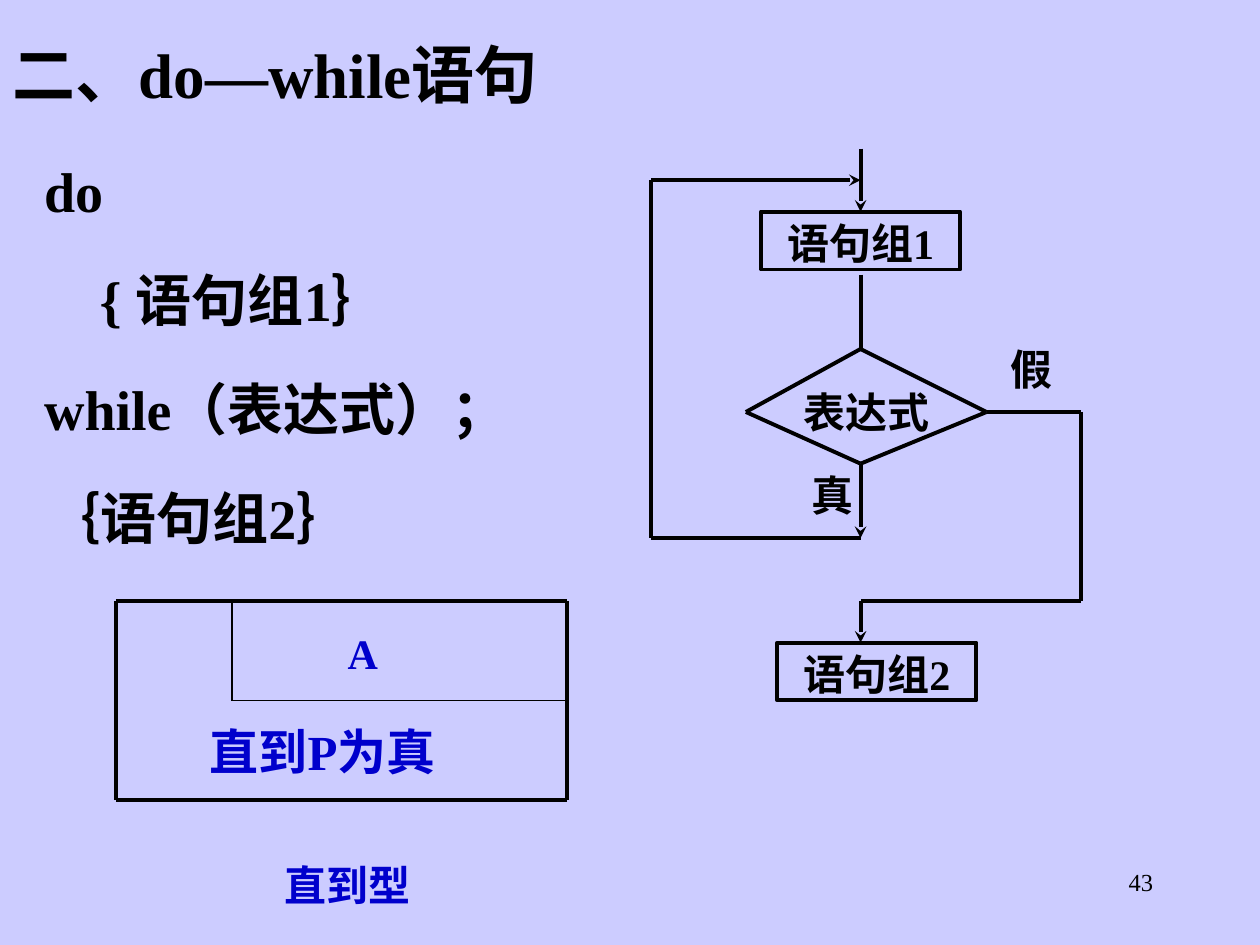
from itertools import pairwise

from lxml.etree import SubElement
from pptx import Presentation
from pptx.dml.color import RGBColor
from pptx.enum.shapes import MSO_CONNECTOR as Conn, MSO_SHAPE as Shape
from pptx.enum.text import MSO_ANCHOR as Anchor, MSO_AUTO_SIZE as Fit, PP_ALIGN as Align
from pptx.oxml.ns import qn
from pptx.util import Inches, Pt

BLACK = RGBColor(0, 0, 0)
BLUE = RGBColor(0, 0, 0xCC)
LILAC = RGBColor(0xCC, 0xCC, 0xFF)
FONT = "Times New Roman"
TIGHT = (0.02, 0.01)
AXIS = 6.83


def write(shape, text, size=24, color=BLACK, bold=True, align=Align.LEFT,
          pad=(0.1, 0.05), lead=1.0, gap=0, dents=()):
    """Fill a shape with formatted paragraphs, one for each line of text."""
    frame = shape.text_frame
    frame.text = text
    frame.word_wrap = True
    frame.auto_size = Fit.NONE
    frame.vertical_anchor = Anchor.TOP
    frame.margin_left = frame.margin_right = Inches(pad[0])
    frame.margin_top = frame.margin_bottom = Inches(pad[1])
    for i, para in enumerate(frame.paragraphs):
        if dents:
            para._p.get_or_add_pPr().set("marL", str(Inches(dents[i])))
        para.alignment = align
        para.line_spacing = lead
        para.space_before = Pt(gap if i else 0)
        font = para.font
        font.name, font.size, font.bold = FONT, Pt(size), bold
        font.color.rgb = color


def label(slide, text, x, y, w, h, **form):
    """Add a text box."""
    box = slide.shapes.add_textbox(Inches(x), Inches(y), Inches(w), Inches(h))
    write(box, text, **form)


def step(slide, text, x, y):
    """Add an outlined step of the flow chart."""
    box = slide.shapes.add_shape(Shape.RECTANGLE, Inches(x), Inches(y),
                                 Inches(1.58), Inches(0.46))
    box.shadow.inherit = False
    box.fill.background()
    box.line.color.rgb = BLACK
    box.line.width = Pt(2.25)
    write(box, text, align=Align.CENTER, pad=TIGHT, lead=1.1)
    return box


def trace(slide, *points, width=2.25, arrow=False):
    """Join points with straight lines and return the last one."""
    for start, end in pairwise(points):
        line = slide.shapes.add_connector(
            Conn.STRAIGHT, *(Inches(n) for n in start + end))
        line.line.color.rgb = BLACK
        line.line.width = Pt(width)
        SubElement(line._element.spPr, qn("a:effectLst"))
    if arrow:
        SubElement(line.line._get_or_add_ln(), qn("a:tailEnd"), type="stealth")
    return line


def draw_loop(slide):
    """Draw the until-loop box diagram."""
    left, right, top, base = 0.92, 4.5, 4.77, 6.35
    trace(slide, (left, top), (right, top), (right, base), (left, base), (left, top))
    trace(slide, (1.84, top), (1.84, 5.56), (right, 5.56), width=1)
    label(slide, "直到P为真", 1.33, 5.68, 2.46, 0.57, size=28, color=BLUE,
          align=Align.CENTER)
    label(slide, "A", 2.66, 4.93, 1.02, 0.5, color=BLUE)
    label(slide, "直到型", 1.22, 6.77, 3.07, 0.5, color=BLUE, align=Align.CENTER)


def draw_flow(slide):
    """Draw the do-while flow chart."""
    first = step(slide, "语句组1", AXIS - 0.79, 1.68)
    step(slide, "语句组2", 6.17, 5.1)
    entry = trace(slide, (AXIS, 1.18), (AXIS, 1.68), arrow=True)
    entry.end_connect(first, 0)
    top, right, base, left = (AXIS, 2.77), (7.83, 3.27), (AXIS, 3.68), (5.92, 3.27)
    trace(slide, (AXIS, 2.18), top)
    trace(slide, top, right, base, left, top)
    trace(slide, base, (AXIS, 4.27), arrow=True)
    trace(slide, (AXIS, 4.27), (5.17, 4.27), (5.17, 1.43), (AXIS, 1.43), arrow=True)
    trace(slide, right, (8.58, 3.27), (8.58, 4.77), (AXIS, 4.77), (AXIS, 5.1),
          arrow=True)
    label(slide, "表达式", 6.25, 3.02, 1.25, 0.46, align=Align.CENTER,
          pad=TIGHT, lead=1.1)
    label(slide, "真", 6.42, 3.68, 0.5, 0.46, pad=TIGHT, lead=1.1)
    label(slide, "假", 8, 2.68, 0.83, 0.46, pad=TIGHT, lead=1.1)


def main():
    """Build and save the slide."""
    deck = Presentation()
    deck.slide_width, deck.slide_height = Inches(10), Inches(7.5)
    slide = deck.slides.add_slide(deck.slide_layouts[5])
    slide.background.fill.solid()
    slide.background.fill.fore_color.rgb = LILAC
    title = slide.shapes.title
    title.left, title.top = Inches(0), Inches(0.23)
    title.width, title.height = Inches(4.75), Inches(0.7)
    write(title, "二、do—while语句", size=36)
    label(slide, "do\n{ 语句组1｝\nwhile（表达式）；\n｛语句组2｝",
          0.33, 1.18, 4.08, 3.2, size=32, pad=TIGHT, lead=1.1, gap=20,
          dents=(0, 0.44, 0, 0))
    draw_loop(slide)
    draw_flow(slide)
    label(slide, "43", 7.17, 6.83, 2.08, 0.5, size=14, bold=False, align=Align.RIGHT)
    deck.save("out.pptx")


if __name__ == "__main__":
    main()
